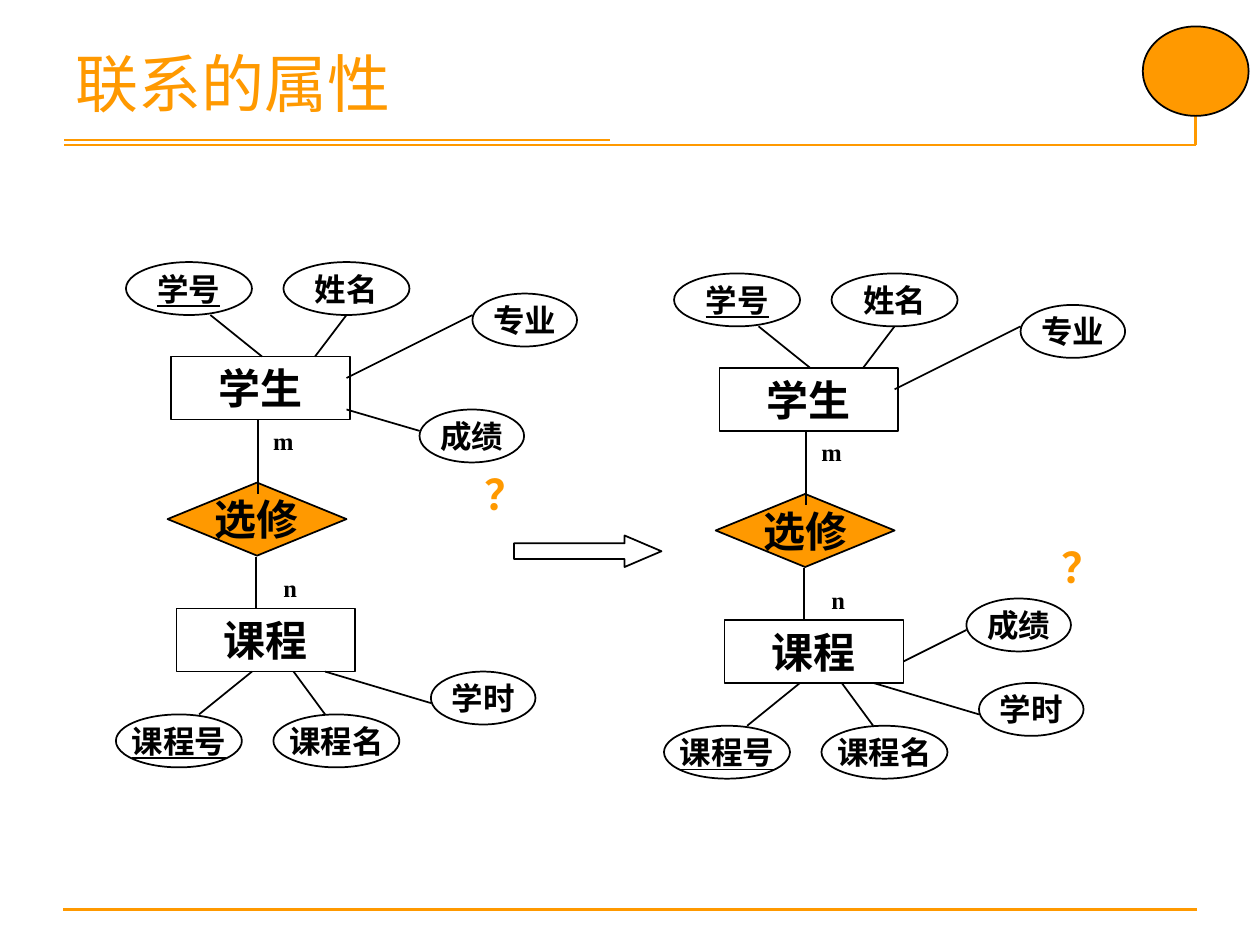
import dataclasses

import lxml.etree
import pptx
import pptx.dml.color
import pptx.enum.shapes
import pptx.enum.text
import pptx.oxml.ns
import pptx.util

Inches = pptx.util.Inches
Pt = pptx.util.Pt
SHAPE = pptx.enum.shapes.MSO_SHAPE
ALIGN = pptx.enum.text.PP_ALIGN
ANCHOR = pptx.enum.text.MSO_ANCHOR


@dataclasses.dataclass
class Theme:
    accent = pptx.dml.color.RGBColor.from_string("FF9900")
    ink = pptx.dml.color.RGBColor.from_string("000000")
    font = "Times New Roman"
    title = 36
    entity = 24
    attribute = 18
    cardinality = 14
    rule = 1.5
    outline = 1


theme = Theme()

prs = pptx.Presentation()
prs.slide_width, prs.slide_height = Inches(10), Inches(7.5)
s = prs.slides.add_slide(prs.slide_layouts[5])


def add_line(x1, y1, x2, y2, color=theme.ink, width=theme.outline):
    c = s.shapes.add_connector(
        pptx.enum.shapes.MSO_CONNECTOR.STRAIGHT,
        Inches(x1), Inches(y1), Inches(x2), Inches(y2))
    c.line.color.rgb = color
    c.line.width = Pt(width)
    lxml.etree.SubElement(c._element.spPr, pptx.oxml.ns.qn("a:effectLst"))


def add_item(kind, x, y, w, h, text="", size=theme.attribute, color=theme.ink,
             fill=None, underline=None, anchor=ANCHOR.MIDDLE, wrap=False):
    box = Inches(x), Inches(y), Inches(w), Inches(h)
    if kind is None:
        sp = s.shapes.add_textbox(*box)
    else:
        sp = s.shapes.add_shape(kind, *box)
        sp.shadow.inherit = False
        sp.line.color.rgb = theme.ink
        sp.line.width = Pt(theme.outline)
        if fill is None:
            sp.fill.background()
        else:
            sp.fill.solid()
            sp.fill.fore_color.rgb = fill
    if text:
        tf = sp.text_frame
        tf.text = text
        tf.word_wrap = wrap
        tf.vertical_anchor = anchor
        p = tf.paragraphs[0]
        p.alignment = ALIGN.LEFT if kind is None else ALIGN.CENTER
        f = p.runs[0].font
        f.name, f.size, f.bold, f.underline = theme.font, Pt(size), True, underline
        f.color.rgb = color
    return sp


for rule in [(0.5, 7.22, 9.5, 7.22), (0.51, 1.15, 9.49, 1.15),
             (9.49, 0.28, 9.49, 1.15), (0.51, 1.11, 4.84, 1.11)]:
    add_line(*rule, theme.accent, theme.rule)

add_item(SHAPE.OVAL, 9.07, 0.21, 0.84, 0.71, fill=theme.accent)

title = s.shapes.title
title.left, title.top = Inches(0.5), Inches(0.3)
title.width, title.height = Inches(9), Inches(0.85)
tf = title.text_frame
tf.text = "联系的属性"
tf.vertical_anchor = ANCHOR.TOP
p = tf.paragraphs[0]
p.alignment = ALIGN.LEFT
r = p.runs[0]
r.font.name, r.font.size = theme.font, Pt(theme.title)
r.font.color.rgb = theme.accent

entities = [("学生", 1.36, 2.83), ("课程", 1.4, 4.83)]
cardinalities = [("m", 2.07, 3.33, 0.33), ("n", 2.15, 4.5, 0.25)]
attributes = [
    ("学号", 1, 2.08, 1, True), ("姓名", 2.25, 2.08, 1, None),
    ("专业", 3.75, 2.33, 0.83, None), ("课程号", 0.92, 5.67, 1, True),
    ("课程名", 2.17, 5.67, 1, None), ("学时", 3.42, 5.33, 0.83, None),
]
links = [
    (2.03, 4.42, 2.03, 4.83), (2.05, 3.33, 2.05, 3.92),
    (1.67, 2.5, 2.08, 2.83), (2.75, 2.5, 2.5, 2.83), (2.75, 3, 3.75, 2.5),
    (2, 5.33, 1.58, 5.67), (2.33, 5.33, 2.58, 5.67), (2.58, 5.33, 3.42, 5.58),
]

for dx, dy in [(0, 0), (4.35, 0.09)]:
    for text, x, y in entities:
        add_item(SHAPE.RECTANGLE, x + dx, y + dy, 1.42, 0.5, text, theme.entity,
                 anchor=ANCHOR.TOP, wrap=True)
    add_item(SHAPE.FLOWCHART_DECISION, 1.33 + dx, 3.83 + dy, 1.42, 0.58, "选修",
             theme.entity, fill=theme.accent)
    for text, x, y, w in cardinalities:
        add_item(None, x + dx, y + dy, w, 0.34, text, theme.cardinality,
                 anchor=ANCHOR.TOP, wrap=True)
    for text, x, y, w, underline in attributes:
        add_item(SHAPE.OVAL, x + dx, y + dy, w, 0.42, text, underline=underline)
    for x1, y1, x2, y2 in links:
        add_line(x1 + dx, y1 + dy, x2 + dx, y2 + dy)

grades = [
    ((3.33, 3.25), (2.75, 3.25, 3.33, 3.42), (3.75, 3.67)),
    ((7.67, 4.75), (7.17, 5.25, 7.67, 5), (8.33, 4.25)),
]
for oval, link, question in grades:
    add_item(SHAPE.OVAL, *oval, 0.83, 0.42, "成绩")
    add_line(*link)
    add_item(None, *question, 0.67, 0.5, "？", theme.entity, theme.accent,
             anchor=ANCHOR.TOP, wrap=True)

arrow = add_item(SHAPE.RIGHT_ARROW, 4.08, 4.25, 1.17, 0.25)
arrow.adjustments[0], arrow.adjustments[1] = 0.5, 1.17

prs.save("out.pptx")
